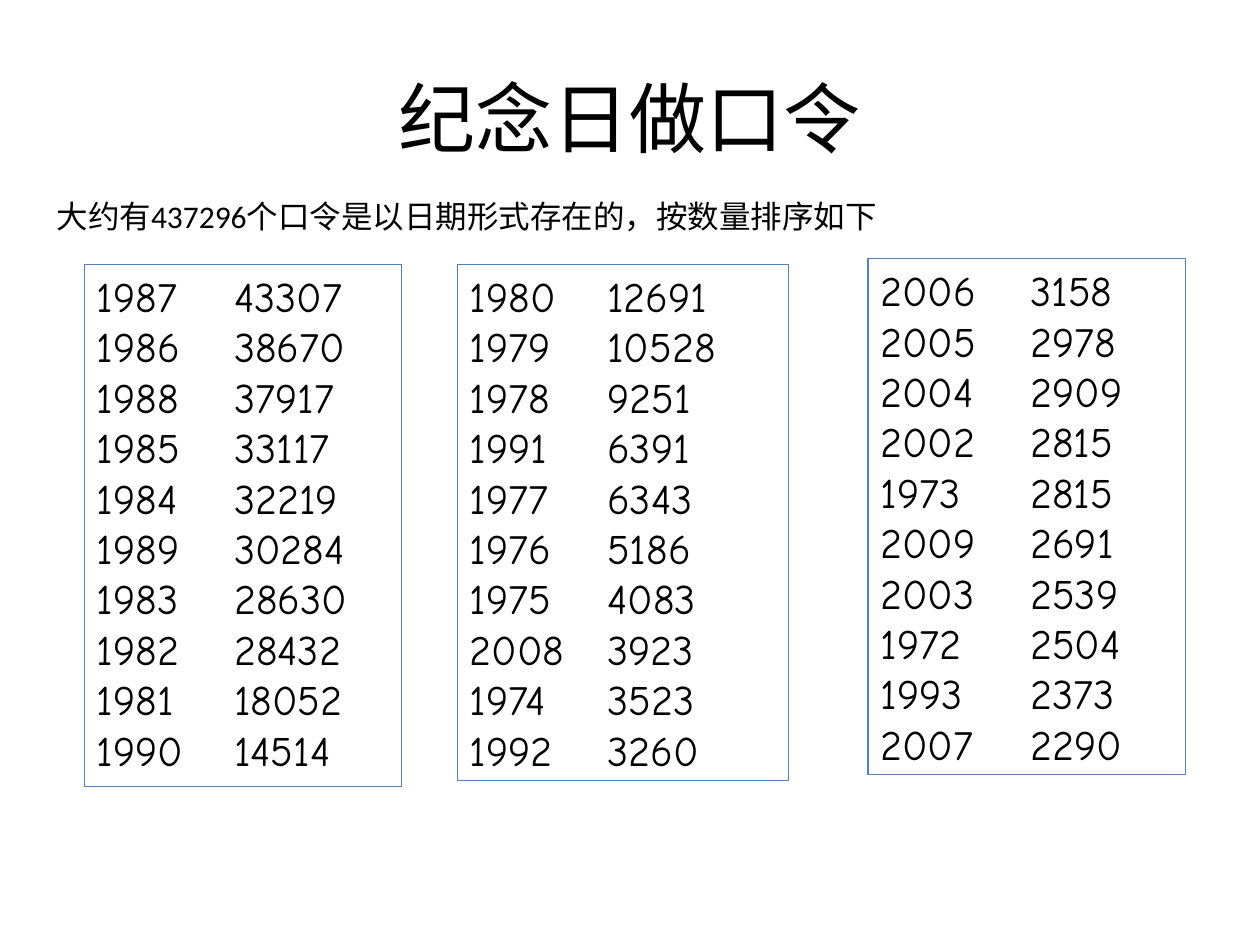
from lxml.etree import SubElement
from pptx import Presentation
from pptx.dml.color import RGBColor
from pptx.enum.shapes import MSO_SHAPE
from pptx.enum.text import MSO_ANCHOR, PP_ALIGN
from pptx.oxml.ns import qn
from pptx.util import Cm, Pt

BLACK = RGBColor(0x00, 0x00, 0x00)
BLUE = RGBColor(0x4F, 0x81, 0xBD)

HEAD = {"name": "Calibri", "size": Pt(44)}
BODY = {"name": "Calibri", "size": Pt(18)}
DATA = {"name": "Comic Neue", "size": Pt(24)}


def write(para, text, style):
    run = para.add_run()
    run.text = text
    run.font.color.rgb = BLACK
    for key, value in style.items():
        setattr(run.font, key, value)


def set_tab(para, pos):
    tabs = SubElement(para._p.get_or_add_pPr(), qn("a:tabLst"))
    SubElement(tabs, qn("a:tab"), pos=str(int(pos)), algn="l")


deck = Presentation()
deck.slide_width, deck.slide_height = Cm(25.4), Cm(19.05)
slide = deck.slides.add_slide(deck.slide_layouts[6])

# Title and intro line
lines = [
    ("纪念日做口令", HEAD, PP_ALIGN.CENTER, MSO_ANCHOR.MIDDLE,
     (1.27, 0.76, 22.86, 3.18)),
    ("大约有437296个口令是以日期形式存在的，按数量排序如下", BODY,
     PP_ALIGN.LEFT, MSO_ANCHOR.TOP, (0.89, 3.84, 19.2, 1.03)),
]
for text, style, align, anchor, place in lines:
    frame = slide.shapes.add_textbox(*map(Cm, place)).text_frame
    frame.word_wrap = True
    frame.vertical_anchor = anchor
    para = frame.paragraphs[0]
    para.alignment = align
    write(para, text, style)

# Year and count lists: place, tab stop, rows
lists = [
    ((1.7, 5.33, 6.4, 10.52), 2.77, [
        (1987, 43307), (1986, 38670), (1988, 37917), (1985, 33117),
        (1984, 32219), (1989, 30284), (1983, 28630), (1982, 28432),
        (1981, 18052), (1990, 14514)]),
    ((9.22, 5.33, 6.68, 10.41), 2.77, [
        (1980, 12691), (1979, 10528), (1978, 9251), (1991, 6391),
        (1977, 6343), (1976, 5186), (1975, 4083), (2008, 3923),
        (1974, 3523), (1992, 3260)]),
    ((17.5, 5.21, 6.4, 10.41), 3.02, [
        (2006, 3158), (2005, 2978), (2004, 2909), (2002, 2815),
        (1973, 2815), (2009, 2691), (2003, 2539), (1972, 2504),
        (1993, 2373), (2007, 2290)]),
]
for place, stop, rows in lists:
    box = slide.shapes.add_shape(MSO_SHAPE.RECTANGLE, *map(Cm, place))
    box.shadow.inherit = False
    box.fill.background()
    box.line.color.rgb = BLUE
    box.line.width = Pt(0.75)
    frame = box.text_frame
    frame.word_wrap = True
    frame.vertical_anchor = MSO_ANCHOR.TOP
    for i, (year, count) in enumerate(rows):
        para = frame.add_paragraph() if i else frame.paragraphs[0]
        para.alignment = PP_ALIGN.LEFT
        set_tab(para, Cm(stop))
        write(para, f"{year}\t{count}", DATA)

deck.save("out.pptx")
